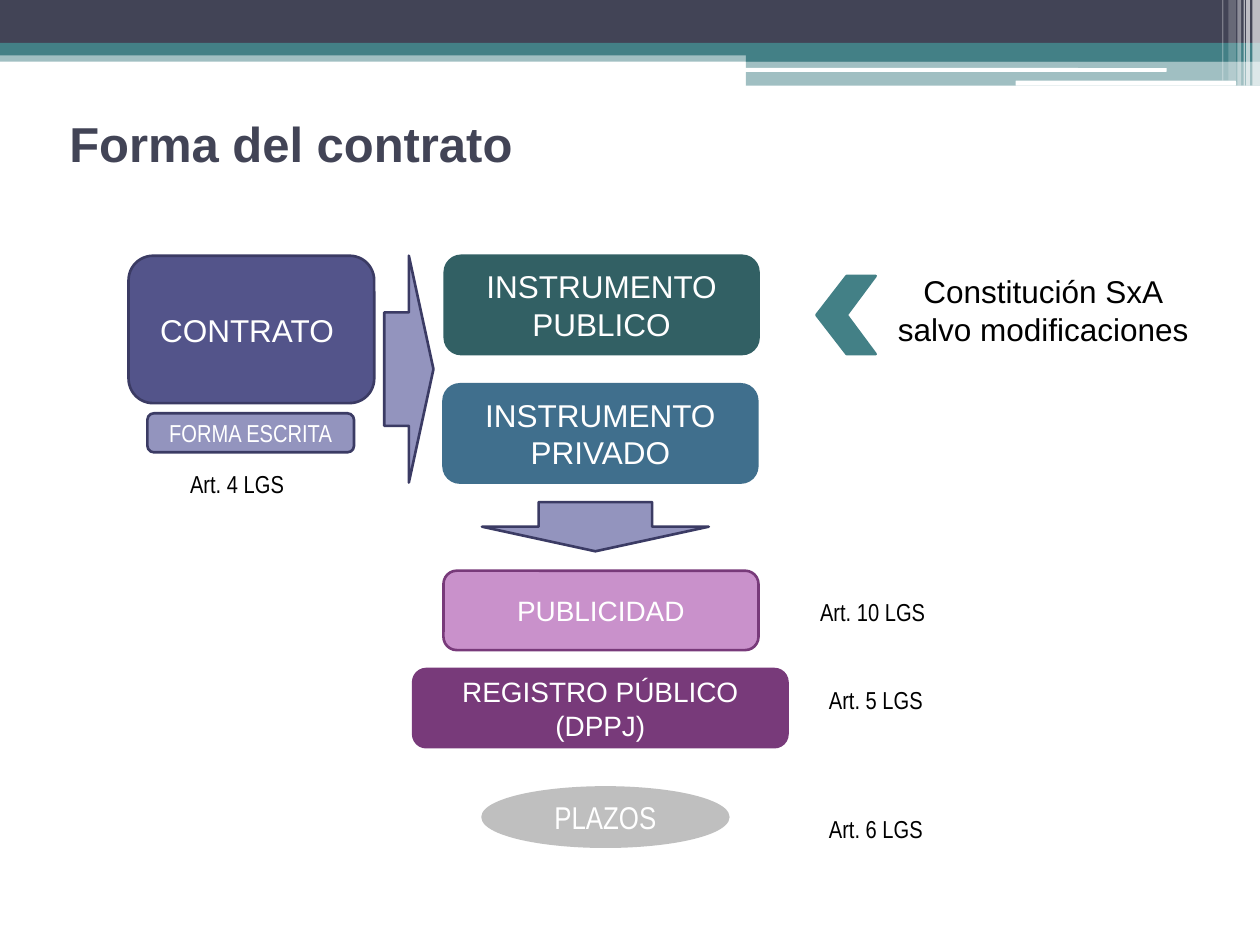
from lxml import etree
from pptx import Presentation
from pptx.dml.color import RGBColor
from pptx.enum.shapes import MSO_SHAPE
from pptx.enum.text import MSO_ANCHOR, PP_ALIGN
from pptx.oxml.ns import qn
from pptx.util import Inches, Pt

WHITE = RGBColor(0xFF, 0xFF, 0xFF)
BLACK = RGBColor(0x00, 0x00, 0x00)
SLATE = RGBColor(0x42, 0x44, 0x56)
TEAL = RGBColor(0x43, 0x80, 0x86)
DARK_TEAL = RGBColor(0x32, 0x60, 0x64)
BLUE = RGBColor(0x40, 0x6F, 0x8D)
INDIGO = RGBColor(0x53, 0x54, 0x8A)
DARK_INDIGO = RGBColor(0x3B, 0x3B, 0x64)
LAVENDER = RGBColor(0x93, 0x94, 0xBE)
PURPLE = RGBColor(0x78, 0x3A, 0x7A)
PINK = RGBColor(0xC9, 0x91, 0xCB)
GRAY = RGBColor(0xBF, 0xBF, 0xBF)

ARIAL, NARROW = "Arial", "Arial Narrow"
RECTANGLE = MSO_SHAPE.RECTANGLE
ROUNDED = MSO_SHAPE.ROUNDED_RECTANGLE
ARROW = MSO_SHAPE.RIGHT_ARROW

# Content: positions are (left, top, width, height) in inches
TITLE = "Forma del contrato"

# Header bands: shape, position, colour, opacity in percent
BANDS = [
    (RECTANGLE, (0, 0.4, 10, 0.09), TEAL, 50),
    (RECTANGLE, (0, 0, 10, 0.34), SLATE, 100),
    (RECTANGLE, (0, 0.34, 10, 0.1), TEAL, 100),
    (RECTANGLE, (5.92, 0.39, 4.08, 0.1), TEAL, 100),
    (RECTANGLE, (5.92, 0.48, 4.08, 0.2), TEAL, 50),
    (ROUNDED, (5.91, 0.54, 3.35, 0.03), WHITE, 100),
    (ROUNDED, (8.06, 0.64, 1.75, 0.04), WHITE, 100),
]

# Light stripes in the top right corner: left, width, height, opacity
STRIPES = [
    (9.94, 0.06, 0.68, 65),
    (9.89, 0.03, 0.68, 65),
    (9.87, 0.01, 0.68, 60),
    (9.82, 0.03, 0.68, 40),
    (9.75, 0.06, 0.64, 20),
    (9.7, 0.01, 0.64, 30),
]

# Diagram boxes: text, shape, position, fill, line, size, font
BOXES = [
    ("CONTRATO ", ROUNDED, (1.02, 2.03, 1.95, 1.17), INDIGO, DARK_INDIGO, 18, ARIAL),
    ("INSTRUMENTO PUBLICO", ROUNDED, (3.53, 2.03, 2.49, 0.78), DARK_TEAL, DARK_TEAL, 18, ARIAL),
    ("INSTRUMENTO PRIVADO", ROUNDED, (3.52, 3.05, 2.49, 0.78), BLUE, BLUE, 18, ARIAL),
    ("FORMA ESCRITA", ROUNDED, (1.17, 3.28, 1.64, 0.31), LAVENDER, DARK_INDIGO, 14, NARROW),
    ("REGISTRO PÚBLICO (DPPJ)", ROUNDED, (3.28, 5.31, 2.97, 0.62), PURPLE, PURPLE, 16, ARIAL),
    ("PUBLICIDAD", ROUNDED, (3.52, 4.53, 2.5, 0.63), PINK, PURPLE, 16, ARIAL),
    ("PLAZOS", MSO_SHAPE.OVAL, (3.83, 6.25, 1.95, 0.47), GRAY, GRAY, 18, NARROW),
]

# Block arrows: position, rotation
ARROWS = [((3.05, 2.03, 0.39, 1.8), 0), ((4.53, 3.28, 0.39, 1.8), 90)]

CHEVRON = [(6.95, 2.19), (6.72, 2.19), (6.48, 2.5),
           (6.72, 2.81), (6.95, 2.81), (6.72, 2.5)]

# Notes: lines, position, size, font, alignment
NOTES = [
    (["Constitución SxA", "salvo modificaciones"], (6.95, 2.11, 2.66, 0.7), 18, ARIAL, PP_ALIGN.CENTER),
    (["Art. 4 LGS"], (1.41, 3.67, 1.09, 0.34), 14, NARROW, PP_ALIGN.LEFT),
    (["Art. 5 LGS"], (6.48, 5.39, 1.09, 0.34), 14, NARROW, PP_ALIGN.LEFT),
    (["Art. 6 LGS"], (6.48, 6.41, 1.09, 0.34), 14, NARROW, PP_ALIGN.LEFT),
    (["Art. 10 LGS"], (6.41, 4.69, 1.09, 0.34), 14, NARROW, PP_ALIGN.LEFT),
]


def inches(values):
    return [Inches(value) for value in values]


def paint(shape, fill, line=None, opacity=100):
    shape.shadow.inherit = False
    shape.fill.solid()
    shape.fill.fore_color.rgb = fill
    if opacity < 100:
        color = shape.fill._xPr.find(qn("a:solidFill"))[0]
        etree.SubElement(color, qn("a:alpha"), val=str(opacity * 1000))
    if line is None:
        shape.line.fill.background()
    else:
        shape.line.color.rgb = line
        shape.line.width = Pt(1.5)


def add_block(slide, kind, position, fill, line=None, opacity=100):
    shape = slide.shapes.add_shape(kind, *inches(position))
    paint(shape, fill, line, opacity)
    return shape


def write(shape, lines, size, font, color, alignment, anchor, bold=False):
    frame = shape.text_frame
    frame.word_wrap = True
    frame.vertical_anchor = anchor
    frame.text = "\n".join(lines)
    for paragraph in frame.paragraphs:
        paragraph.alignment = alignment
        paragraph.font.size = Pt(size)
        paragraph.font.name = font
        paragraph.font.bold = bold
        paragraph.font.color.rgb = color


def main():
    deck = Presentation()
    deck.slide_width, deck.slide_height = Inches(10), Inches(7.5)
    slide = deck.slides.add_slide(deck.slide_layouts[5])

    # Header decoration
    for kind, position, color, opacity in BANDS:
        add_block(slide, kind, position, color, opacity=opacity)
    for left, width, height, opacity in STRIPES:
        add_block(slide, RECTANGLE, (left, 0, width, height), WHITE, opacity=opacity)

    # Title
    title = slide.shapes.title
    title.left, title.top, title.width, title.height = inches((0.45, 0.55, 9, 1.17))
    write(title, [TITLE], 28, ARIAL, SLATE, PP_ALIGN.LEFT, MSO_ANCHOR.MIDDLE, bold=True)

    # Diagram
    for text, kind, position, fill, line, size, font in BOXES:
        box = add_block(slide, kind, position, fill, line)
        write(box, [text], size, font, WHITE, PP_ALIGN.CENTER, MSO_ANCHOR.MIDDLE)
    for position, rotation in ARROWS:
        add_block(slide, ARROW, position, LAVENDER, DARK_INDIGO).rotation = rotation

    start, *corners = [inches(point) for point in CHEVRON]
    builder = slide.shapes.build_freeform(*start)
    builder.add_line_segments(corners, close=True)
    paint(builder.convert_to_shape(), TEAL, TEAL)

    # Notes beside the diagram
    for lines, position, size, font, alignment in NOTES:
        note = slide.shapes.add_textbox(*inches(position))
        write(note, lines, size, font, BLACK, alignment, MSO_ANCHOR.TOP)

    deck.save("out.pptx")


if __name__ == "__main__":
    main()
